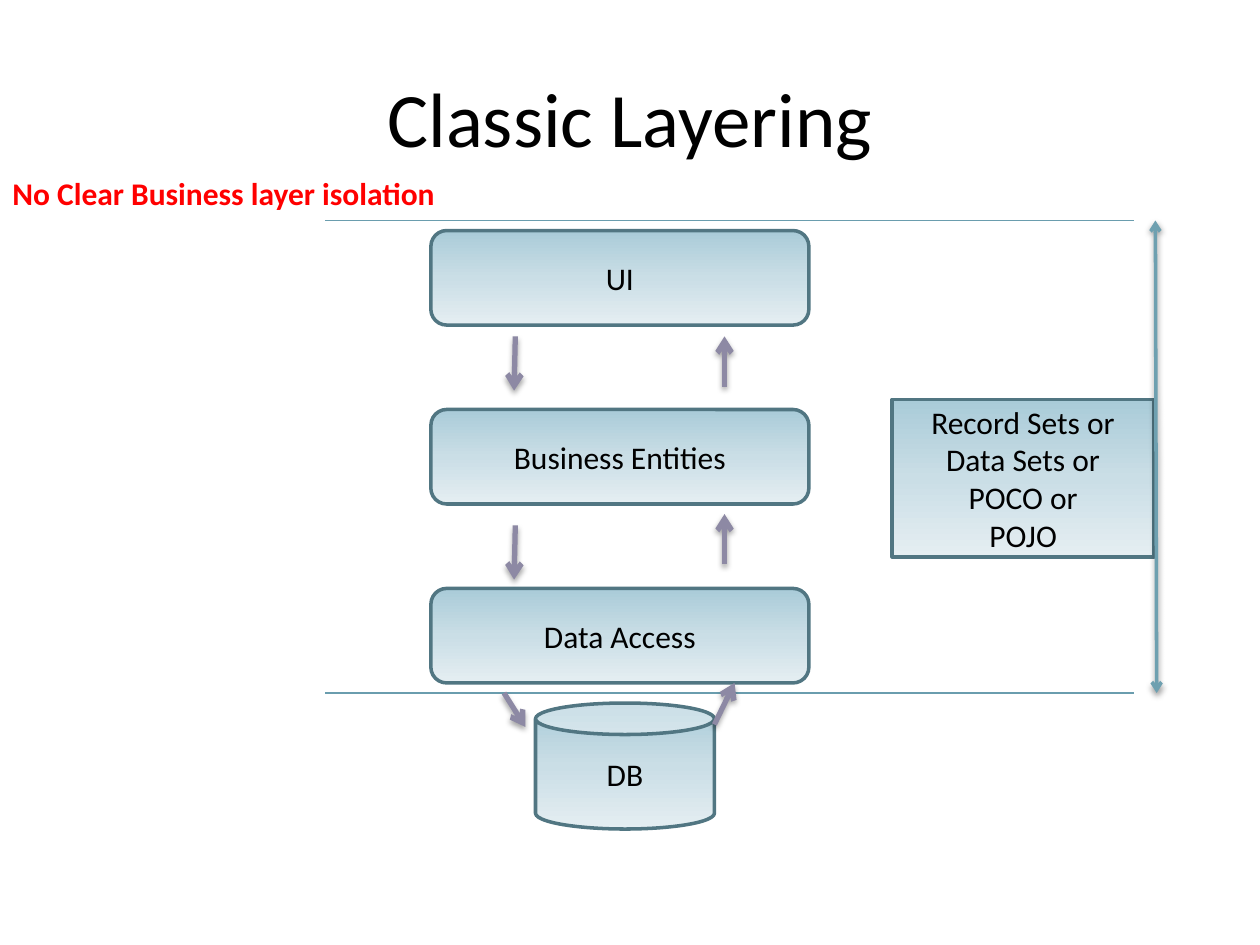
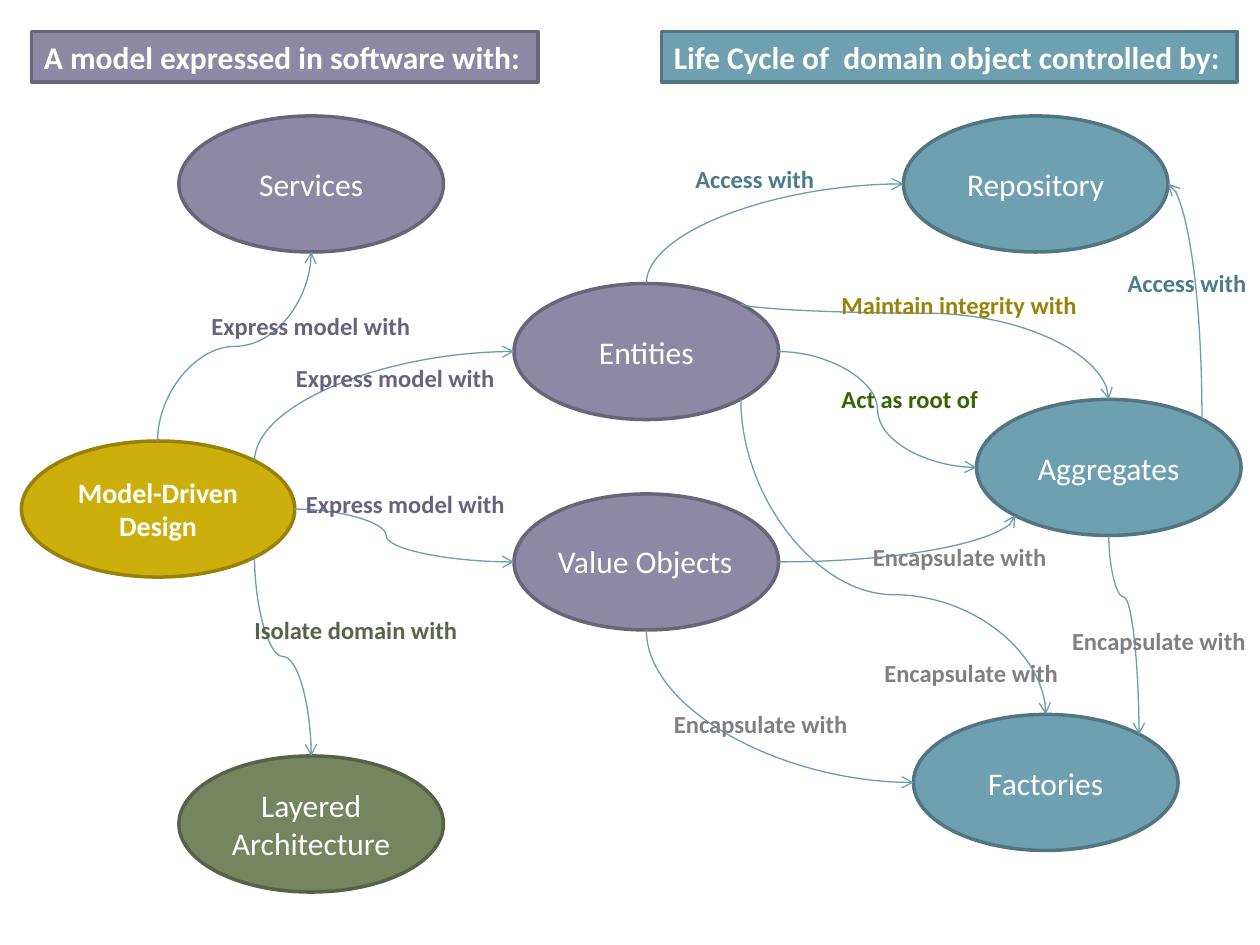
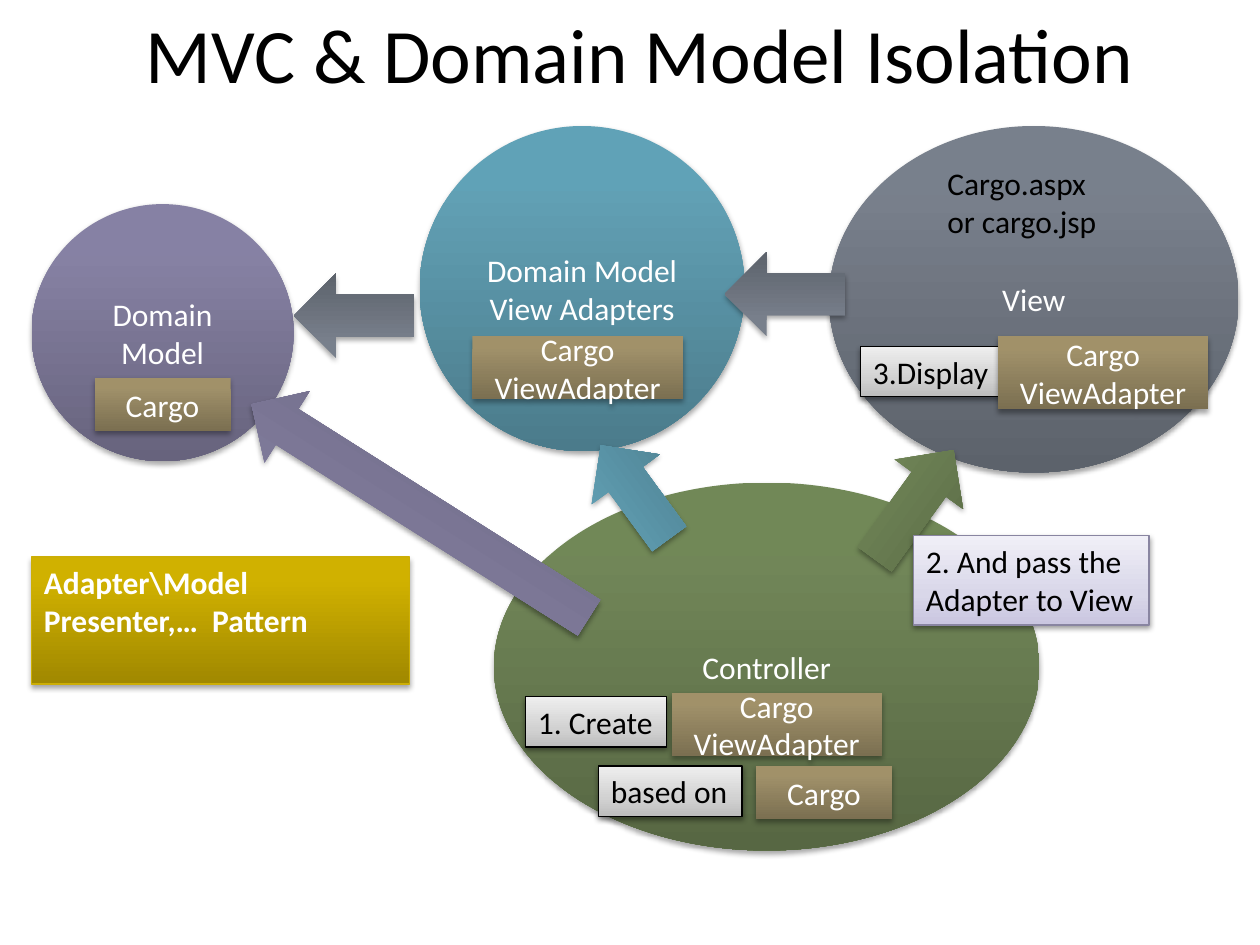
"""Build three slides on classic layering, model-driven design and MVC isolation."""

from dataclasses import dataclass
from typing import NamedTuple

from lxml.etree import SubElement
from pptx import Presentation
from pptx.dml.color import RGBColor
from pptx.enum.shapes import MSO_CONNECTOR as Route, MSO_SHAPE as Form
from pptx.enum.text import MSO_ANCHOR as Anchor, MSO_AUTO_SIZE as AutoSize, PP_ALIGN as Align
from pptx.oxml.ns import qn
from pptx.util import Emu, Pt

EMU_PER_PX = 9144
FONT = "Calibri"
BLACK, WHITE, RED = "000000", "FFFFFF", "FF0000"
TEAL, TEAL_EDGE, TEAL_LINE, TEAL_TEXT = "6EA0B0", "517682", "6A9DAE", "4C7C8B"
MAUVE, MAUVE_EDGE, MAUVE_TEXT = "8D89A4", "686579", "67627F"
GREY_TEXT = "808080"


class Stop(NamedTuple):
    position: int
    color: str


class Shadow(NamedTuple):
    opacity: int
    distance: float


class Point(NamedTuple):
    x: int
    y: int


class Box(NamedTuple):
    left: int
    top: int
    width: int
    height: int


SOFT, CRISP = Shadow(35, 1.8), Shadow(38, 1.6)


@dataclass(frozen=True)
class Lettering:
    ink: str = WHITE
    size: int = 18
    bold: bool = False
    centred: bool = True
    wrap: bool = True


@dataclass(frozen=True)
class Style:
    fill: tuple[Stop, ...]
    outline: str = ""
    width: float = 2
    shadow: Shadow | None = None
    lettering: Lettering = Lettering()


@dataclass(frozen=True)
class Block:
    box: Box
    style: Style
    lines: tuple[str, ...] = ()
    form: Form = Form.RECTANGLE
    rotation: float = 0


@dataclass(frozen=True)
class Stroke:
    start: Point
    end: Point
    color: str
    width: float
    head: bool = False
    tail: bool = False
    shadow: Shadow | None = None


@dataclass(frozen=True)
class Relation:
    start: Point
    end: Point
    bend: float | None = None
    upright: bool = True


def flat(color: str, edge: str = "", lettering: Lettering = Lettering()) -> Style:
    """Return a solid style."""
    return Style((Stop(0, color),), edge, lettering=lettering)


def shaded(top: str, middle: str, bottom: str, turn: int = 20, **extras) -> Style:
    """Return a style shaded from top to bottom."""
    return Style((Stop(0, top), Stop(turn, middle), Stop(100, bottom)), **extras)


CAPTION = Lettering(BLACK, centred=False, wrap=False)
BANNER = Lettering(bold=True, centred=False, wrap=False)

LAYER = shaded("A9CBD8", "CADEE6", "E5EEF2", 50, outline=TEAL_EDGE, lettering=Lettering(BLACK))

CONCEPT = flat(MAUVE, MAUVE_EDGE)
LIFE_CYCLE = flat(TEAL, TEAL_EDGE)
ARCHITECTURE = flat("748560", "566247")
CORE = flat("CCAF0A", "978107", Lettering(size=16, bold=True))

CONTROLLER = shaded("718857", "718658", "576743", shadow=SOFT)
ADAPTERS = shaded("60A2B7", "61A0B4", "4B7B8B", shadow=SOFT)
VIEW = shaded("78808C", "787F8B", "5C626B", shadow=SOFT)
DOMAIN = shaded("8681A4", "8681A3", "67637D", shadow=SOFT)
CARGO = shaded("A19169", "9F9069", "7B6F51", shadow=SOFT)
STEP = shaded("EEEEEE", "D1D1D1", "BDBDBD", 65, outline=BLACK, width=0.75,
              shadow=CRISP, lettering=CAPTION)
HANDOVER = shaded("F0EFF7", "D9D7E9", "CAC6E0", 65, outline="8985A1", width=0.75,
                  shadow=CRISP, lettering=CAPTION)
PATTERN = shaded("D0B100", "CFB000", "A08800", outline="CCAE05", width=0.75, shadow=SOFT,
                 lettering=Lettering(bold=True, centred=False))


def px(length: float) -> Emu:
    """Turn px into EMU."""
    return Emu(round(length * EMU_PER_PX))


def rgb(color: str) -> RGBColor:
    """Turn a hex string into a colour."""
    return RGBColor.from_string(color)


def write(frame, lines: tuple[str, ...], lettering: Lettering) -> None:
    """Write one paragraph per line."""
    frame.word_wrap = lettering.wrap
    frame.vertical_anchor = Anchor.MIDDLE if lettering.centred else Anchor.TOP
    if not lettering.centred:
        frame.auto_size = AutoSize.SHAPE_TO_FIT_TEXT
    for index, line in enumerate(lines):
        paragraph = frame.add_paragraph() if index else frame.paragraphs[0]
        paragraph.alignment = Align.CENTER if lettering.centred else Align.LEFT
        run = paragraph.add_run()
        run.text = line
        run.font.name = FONT
        run.font.size = Pt(lettering.size)
        run.font.bold = lettering.bold
        run.font.color.rgb = rgb(lettering.ink)


def add_title(slide, text: str, box: Box) -> None:
    """Place and fill the slide title."""
    title = slide.shapes.title
    title.left, title.top, title.width, title.height = map(px, box)
    write(title.text_frame, (text,), Lettering(BLACK, 44))


def add_label(shapes, box: Box, lines: tuple[str, ...], lettering: Lettering) -> None:
    """Draw a text box."""
    write(shapes.add_textbox(*map(px, box)).text_frame, lines, lettering)


def paint(fill, properties, stops: tuple[Stop, ...]) -> None:
    """Fill a shape with one colour or a downward gradient."""
    if len(stops) == 1:
        fill.solid()
        fill.fore_color.rgb = rgb(stops[0].color)
        return
    fill.gradient()
    fill.gradient_angle = 270
    stop_list = properties.find(qn("a:gradFill")).find(qn("a:gsLst"))
    stop_list.clear()
    for stop in stops:
        entry = SubElement(stop_list, qn("a:gs"), pos=str(stop.position * 1000))
        SubElement(entry, qn("a:srgbClr"), val=stop.color)


def cast_shadow(effects, shadow: Shadow) -> None:
    """Add a downward shadow to an effect list."""
    outer = SubElement(effects, qn("a:outerShdw"), blurRad=str(Pt(3.1)),
                       dist=str(Pt(shadow.distance)), dir="5400000", rotWithShape="0")
    tint = SubElement(outer, qn("a:srgbClr"), val=BLACK)
    SubElement(tint, qn("a:alpha"), val=str(shadow.opacity * 1000))


def add_block(shapes, block: Block) -> None:
    """Draw a preset shape with its text."""
    style = block.style
    shape = shapes.add_shape(block.form, *map(px, block.box))
    shape.rotation = block.rotation
    properties = shape.element.spPr
    paint(shape.fill, properties, style.fill)
    if style.outline:
        shape.line.color.rgb = rgb(style.outline)
        shape.line.width = Pt(style.width)
    else:
        shape.line.fill.background()
    shape.shadow.inherit = False
    if style.shadow:
        cast_shadow(properties.find(qn("a:effectLst")), style.shadow)
    if block.lines:
        write(shape.text_frame, block.lines, style.lettering)


def add_stroke(shapes, stroke: Stroke, route: Route = Route.STRAIGHT):
    """Draw a connector and return it."""
    connector = shapes.add_connector(route, *map(px, (*stroke.start, *stroke.end)))
    connector.line.color.rgb = rgb(stroke.color)
    connector.line.width = Pt(stroke.width)
    properties = connector.element.spPr
    outline = properties.find(qn("a:ln"))
    for wanted, tag in ((stroke.head, "a:headEnd"), (stroke.tail, "a:tailEnd")):
        if wanted:
            SubElement(outline, qn(tag), type="arrow")
    effects = SubElement(properties, qn("a:effectLst"))
    if stroke.shadow:
        cast_shadow(effects, stroke.shadow)
    return connector


def add_relation(shapes, relation: Relation) -> None:
    """Draw a curved arrow, turned a quarter when it leaves vertically."""
    start, end = relation.start, relation.end
    if relation.upright:
        middle_x, middle_y = (start.x + end.x) / 2, (start.y + end.y) / 2
        half_x, half_y = (end.x - start.x) / 2, (end.y - start.y) / 2
        start = Point(middle_x - half_y, middle_y + half_x)
        end = Point(middle_x + half_y, middle_y - half_x)
    stroke = Stroke(start, end, TEAL_LINE, 0.75, tail=True)
    curve = add_stroke(shapes, stroke, Route.CURVE)
    curve.rotation = 90 if relation.upright else 0
    geometry = curve.element.spPr.find(qn("a:prstGeom"))
    if relation.bend is None:
        geometry.set("prst", "curvedConnector2")
    else:
        guides = geometry.find(qn("a:avLst"))
        SubElement(guides, qn("a:gd"), name="adj1", fmla=f"val {round(relation.bend * 100000)}")


def build_layering(slide) -> None:
    """Draw the classic layers and the data that crosses them."""
    add_title(slide, "Classic Layering", Box(50, 30, 900, 125))
    shapes = slide.shapes
    for index, layer in enumerate(("UI", "Business Entities", "Data Access")):
        box = Box(342, 183 + 142 * index, 300, 75)
        add_block(shapes, Block(box, LAYER, (layer,), Form.ROUNDED_RECTANGLE))
    add_block(shapes, Block(Box(425, 558, 142, 100), LAYER, ("DB",), Form.CAN))
    carriers = ("Record Sets or", "Data Sets or", "POCO or", "POJO")
    add_block(shapes, Block(Box(708, 317, 208, 125), LAYER, carriers))
    for y in (175, 550):
        add_stroke(shapes, Stroke(Point(258, y), Point(900, y), TEAL_LINE, 0.75))
    add_stroke(shapes, Stroke(Point(917, 175), Point(918, 550), TEAL, 2, True, True, CRISP))
    calls = (
        (Point(409, 267), Point(408, 310)),
        (Point(409, 417), Point(408, 460)),
        (Point(575, 448), Point(575, 408)),
        (Point(575, 307), Point(575, 267)),
        (Point(400, 550), Point(417, 577)),
        (Point(567, 575), Point(583, 542)),
    )
    for start, end in calls:
        add_stroke(shapes, Stroke(start, end, MAUVE, 3, tail=True, shadow=SOFT))
    add_label(shapes, Box(0, 133, 358, 40), ("No Clear Business layer isolation",),
              Lettering(RED, bold=True, centred=False, wrap=False))


def build_model_map(slide) -> None:
    """Draw the map of model-driven design."""
    shapes = slide.shapes
    add_block(shapes, Block(Box(17, 350, 217, 108), CORE, ("Model-Driven Design",), Form.OVAL))
    value_objects = shapes.add_group_shape().shapes
    nodes = (
        (shapes, 142, 92, CONCEPT, ("Services",)),
        (shapes, 408, 225, CONCEPT, ("Entities",)),
        (value_objects, 408, 392, CONCEPT, ()),
        (shapes, 142, 600, ARCHITECTURE, ("Layered", "Architecture")),
        (shapes, 717, 92, LIFE_CYCLE, ("Repository",)),
        (shapes, 775, 317, LIFE_CYCLE, ("Aggregates",)),
        (shapes, 725, 567, LIFE_CYCLE, ("Factories",)),
    )
    for owner, left, top, style, lines in nodes:
        add_block(owner, Block(Box(left, top, 210, 108), style, lines, Form.OVAL))
    name_style = flat(MAUVE, lettering=Lettering(centred=False, wrap=False))
    add_block(value_objects, Block(Box(433, 425, 160, 40), name_style, ("Value Objects",)))

    relations = (
        Relation(Point(125, 350), Point(247, 200), 0.5),
        Relation(Point(202, 366), Point(408, 279)),
        Relation(Point(233, 404), Point(408, 446), 0.42, False),
        Relation(Point(202, 442), Point(247, 600), 0.5),
        Relation(Point(513, 225), Point(717, 146)),
        Relation(Point(588, 241), Point(880, 317), 0.1),
        Relation(Point(618, 279), Point(775, 371), 0.5, False),
        Relation(Point(618, 446), Point(806, 409), upright=False),
        Relation(Point(588, 317), Point(830, 567), 0.62),
        Relation(Point(880, 425), Point(904, 583), 0.31),
        Relation(Point(513, 500), Point(725, 621)),
        Relation(Point(954, 333), Point(927, 146)),
    )
    for relation in relations:
        add_relation(shapes, relation)

    verbs = (
        ("Express model with", 179, MAUVE_TEXT, ((158, 242), (225, 283), (233, 383))),
        ("Isolate domain with", 182, "576448", ((192, 483),)),
        ("Access with", 115, TEAL_TEXT, ((542, 125), (885, 208))),
        ("Encapsulate with", 159, GREY_TEXT,
         ((683, 425), (692, 517), (841, 492), (525, 558))),
        ("Maintain integrity with", 209, "998307", ((658, 225),)),
        ("Act as root of", 129, "336600", ((658, 300),)),
    )
    for verb, width, ink, places in verbs:
        lettering = Lettering(ink, 14, True, False, False)
        for left, top in places:
            add_label(shapes, Box(left, top, width, 34), (verb,), lettering)

    banners = (
        (25, 402, flat(MAUVE, MAUVE_EDGE, BANNER), "A model expressed in software with:"),
        (525, 457, flat(TEAL, TEAL_EDGE, BANNER), "Life Cycle of  domain object controlled by:"),
    )
    for left, width, style, heading in banners:
        add_block(shapes, Block(Box(left, 25, width, 40), style, (heading,)))


def build_mvc(slide) -> None:
    """Draw how view adapters isolate the domain model."""
    add_title(slide, "MVC & Domain Model Isolation", Box(58, 0, 900, 83))
    adapter = ("Cargo ViewAdapter",)
    arrow = Form.RIGHT_ARROW
    blocks = (
        Block(Box(392, 383, 433, 292), CONTROLLER, ("Controller",), Form.OVAL),
        Block(Box(333, 100, 258, 258), ADAPTERS, ("Domain Model View Adapters",), Form.OVAL),
        Block(Box(658, 100, 325, 275), VIEW, ("View",), Form.OVAL),
        Block(Box(672, 367, 107, 67), CONTROLLER, form=arrow, rotation=305.9),
        Block(Box(683, 275, 113, 40), STEP, ("3.Display",)),
        Block(Box(458, 357, 92, 67), ADAPTERS, form=arrow, rotation=233.8),
        Block(Box(575, 200, 96, 67), VIEW, form=arrow, rotation=180),
        Block(Box(25, 162, 208, 204), DOMAIN, ("Domain Model",), Form.OVAL),
        Block(Box(233, 217, 96, 67), VIEW, form=arrow, rotation=180),
        Block(Box(75, 300, 108, 42), CARGO, ("Cargo",)),
        Block(Box(375, 267, 167, 50), CARGO, adapter),
        Block(Box(175, 372, 317, 67), DOMAIN, form=arrow, rotation=212.3),
        Block(Box(792, 267, 167, 58), CARGO, adapter),
        Block(Box(417, 553, 112, 40), STEP, ("1. Create",)),
        Block(Box(533, 550, 167, 50), CARGO, adapter),
        Block(Box(475, 608, 114, 40), STEP, ("based on",)),
        Block(Box(600, 608, 108, 42), CARGO, ("Cargo",)),
        Block(Box(725, 425, 187, 71), HANDOVER, ("2. And pass the", "Adapter to View")),
        Block(Box(25, 442, 300, 101), PATTERN, (r"Adapter\Model Presenter,…  Pattern",)),
    )
    for block in blocks:
        add_block(slide.shapes, block)
    add_label(slide.shapes, Box(742, 125, 140, 71), ("Cargo.aspx", "or cargo.jsp"), CAPTION)


def main() -> None:
    """Build and save the presentation."""
    deck = Presentation()
    deck.slide_width, deck.slide_height = px(1000), px(750)
    title_only, blank = deck.slide_layouts[5], deck.slide_layouts[6]
    build_layering(deck.slides.add_slide(title_only))
    build_model_map(deck.slides.add_slide(blank))
    build_mvc(deck.slides.add_slide(title_only))
    deck.save("out.pptx")


if __name__ == "__main__":
    main()
